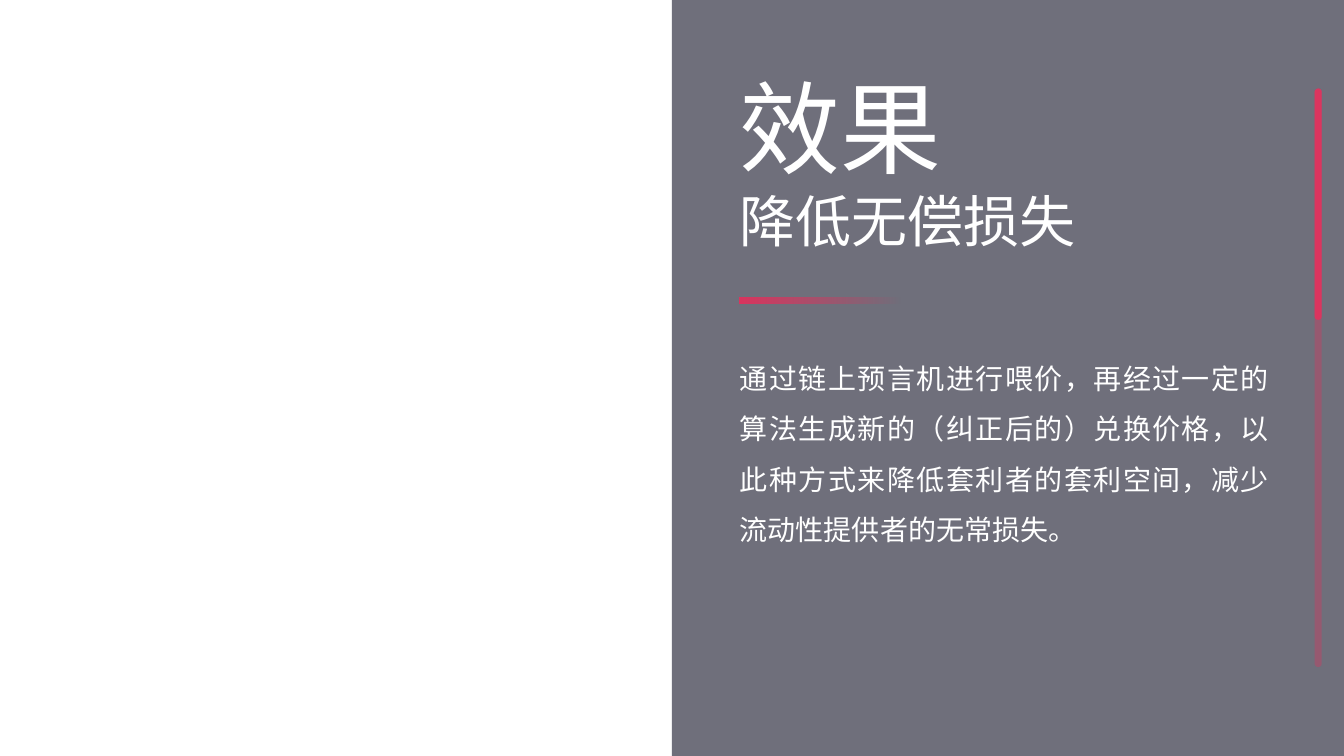
"""Build a split slide with a dark text panel on its right half."""
from lxml import etree
from pptx import Presentation
from pptx import util as u
from pptx.dml.color import RGBColor
from pptx.enum import shapes, text
from pptx.oxml.ns import qn

FONT = "Noto Sans CJK SC"
WHITE, RED, NAVY = "FFFFFF", "DB355F", "18182B"
WIDTH, HEIGHT = 33.87, 19.05


def color(value):
    """Return the colour for a hex string."""
    return RGBColor.from_string(value)


def set_alpha(clr, percent):
    """Set the opacity of a colour element."""
    etree.SubElement(clr, qn("a:alpha")).set("val", str(percent * 1000))


def add_block(s, box, fill, alpha=100, rounded=False, fade=False):
    """Add a borderless block, plain or fading out to the right."""
    kind = shapes.MSO_SHAPE.ROUNDED_RECTANGLE if rounded else shapes.MSO_SHAPE.RECTANGLE
    sp = s.shapes.add_shape(kind, *map(u.Cm, box))
    sp.shadow.inherit = False
    sp.line.fill.background()
    if rounded:
        sp.adjustments[0] = 0.5
    if fade:
        sp.fill.gradient()
        sp.fill.gradient_angle = 0
        for stop in sp.fill.gradient_stops:
            stop.color.rgb = color(fill)
    else:
        sp.fill.solid()
        sp.fill.fore_color.rgb = color(fill)
    colors = list(sp._element.spPr.iter(qn("a:srgbClr")))
    if fade:
        set_alpha(colors[-1], 0)
    elif alpha < 100:
        set_alpha(colors[0], alpha)


def add_text(s, box, lines, align=text.PP_ALIGN.LEFT, spacing=1.0):
    """Add a wrapped text box from (wording, size) lines."""
    tf = s.shapes.add_textbox(*map(u.Cm, box)).text_frame
    tf.word_wrap = True
    tf.auto_size = text.MSO_AUTO_SIZE.SHAPE_TO_FIT_TEXT
    for i, (wording, size) in enumerate(lines):
        p = tf.add_paragraph() if i else tf.paragraphs[0]
        p.alignment, p.line_spacing = align, spacing
        r = p.add_run()
        r.text = wording
        r.font.size = u.Pt(size)
        r.font.name = FONT
        r.font.color.rgb = color(WHITE)
        etree.SubElement(r.font._element, qn("a:ea")).set("typeface", FONT)


def add_scroll_bar(s, x, y, width, height, share):
    """Add a faint vertical track with a bright part at its top."""
    add_block(s, (x, y, width, height), RED, alpha=37, rounded=True)
    add_block(s, (x, y, width, height * share), RED, rounded=True)


def add_panel(s, x, y, width, height):
    """Fill the box with the dark panel, its heading, rule and body."""
    add_block(s, (x, y, width, height), NAVY, alpha=62)
    add_scroll_bar(s, x + width - 0.74, y + 2.23, 0.18, 14.58, 0.4)
    left = x + 1.46
    add_text(s, (left, y + 1.52, 13.28, 5.05), [("效果", 72), ("降低无偿损失", 40)])
    body = (
        "通过链上预言机进行喂价，再经过一定的算法生成新的（纠正后的）兑换价格，"
        "以此种方式来降低套利者的套利空间，减少流动性提供者的无常损失。"
    )
    add_text(s, (left, y + 8.56, 13.84, 5.16), [(body, 20)],
             align=text.PP_ALIGN.JUSTIFY, spacing=1.5)
    add_block(s, (left + 0.25, y + 7.49, 4.04, 0.15), RED, fade=True)


def main():
    """Create the presentation and save it."""
    prs = Presentation()
    prs.slide_width, prs.slide_height = u.Cm(WIDTH), u.Cm(HEIGHT)
    s = prs.slides.add_slide(prs.slide_layouts[6])
    add_panel(s, WIDTH / 2, 0, WIDTH / 2, HEIGHT)
    prs.save("out.pptx")


if __name__ == "__main__":
    main()
